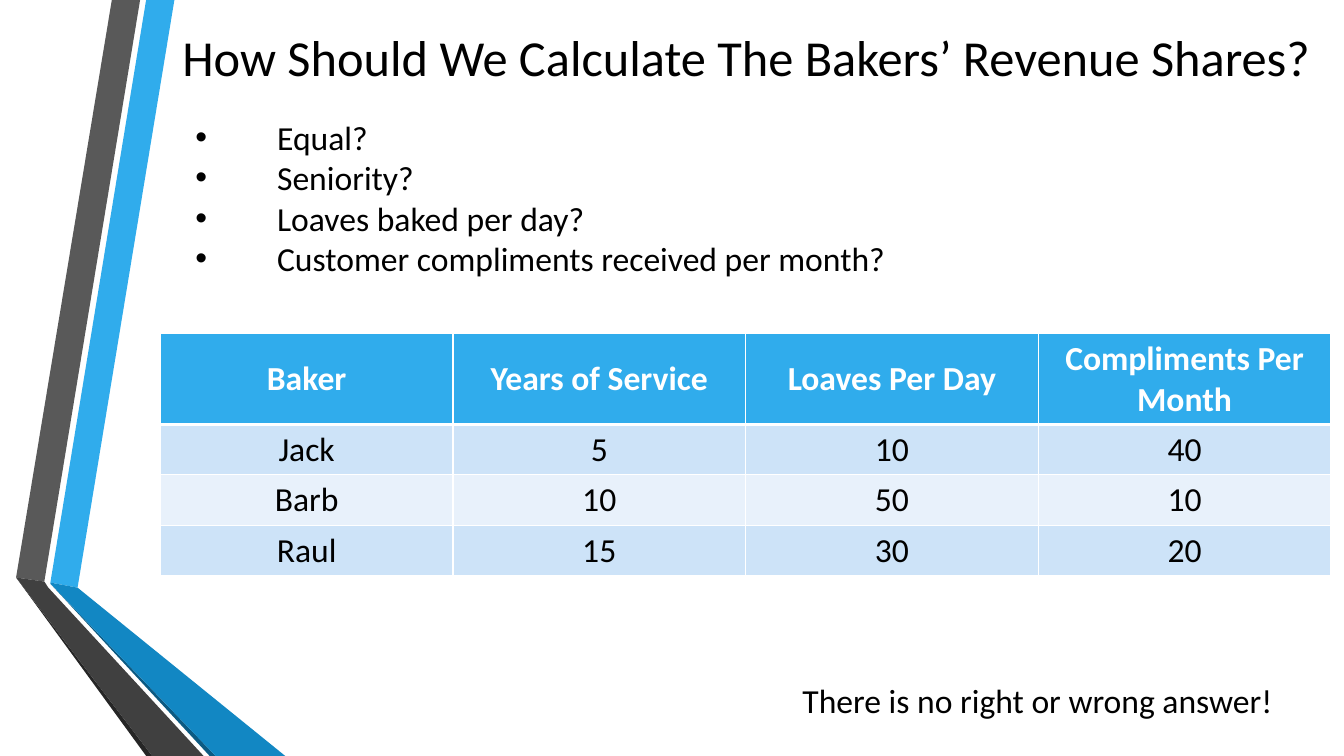
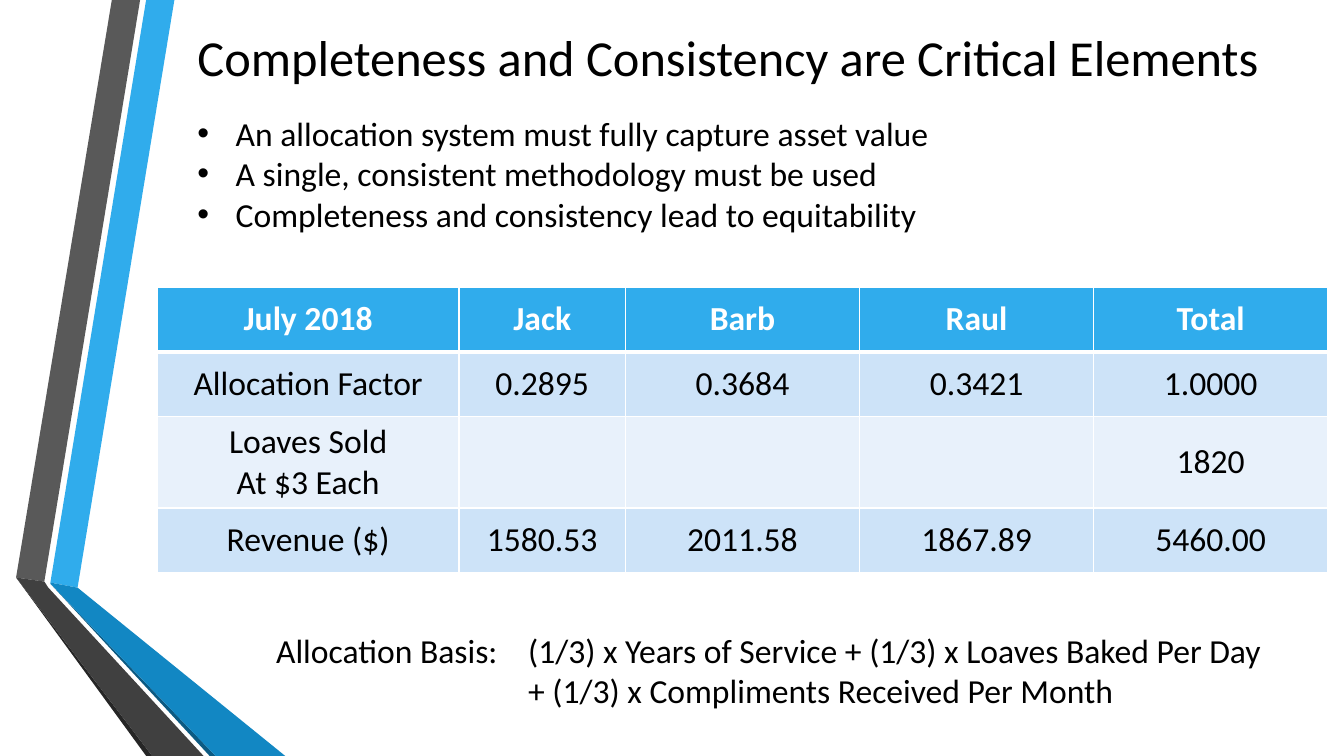
from lxml.etree import SubElement
from pptx import Presentation
from pptx.dml.color import RGBColor
from pptx.enum.text import MSO_ANCHOR as Anchor, PP_ALIGN as Align
from pptx.oxml.ns import qn
from pptx.util import Inches, Pt

FONT = "Calibri"
BLACK, WHITE, BLUE = "000000", "FFFFFF", "30ACEC"
ROW_FILLS = ("CDE3F8", "E8F1FB")
TITLE_SIZE, BODY_SIZE = 36, 24
TITLE_TOP, TITLE_HEIGHT = 0.21, 0.71
TABLE_WIDTH = 11.61

# Folded ribbons down the left edge: colour and outline
RIBBONS = [
    (BLUE, [(0.5, 5.78), (0.77, 5.83), (1.73, 0), (1.45, 0)]),
    ("595959", [(1.39, 0), (1.11, 0), (0.16, 5.73), (0.44, 5.77)]),
    ("262626", [(0.16, 5.73), (1.45, 7.5), (1.51, 7.5)]),
    ("0C5A82", [(0.5, 5.79), (2.08, 7.5), (2.14, 7.5)]),
    ("1287C3", [(0.5, 5.78), (0.5, 5.79), (2.14, 7.5), (2.83, 7.5), (0.77, 5.83)]),
    ("404040", [(2.02, 7.5), (0.48, 5.83), (0.44, 5.77), (0.16, 5.73), (1.51, 7.5)]),
]

# Boxes are left, top, width, height
SLIDES = [
    {
        "title": "How Should We Calculate The Bakers’ Revenue Shares?",
        "title_span": (1.71, 11.6),
        "bullets": ["Equal?", "Seniority?", "Loaves baked per day?",
                    "Customer compliments received per month?"],
        "bullets_box": (1.84, 1.11, 7.3, 1.72),
        "bullet_indent": 0.81,
        "table": [("Baker", "Years of Service", "Loaves Per Day", "Compliments Per Month"),
                  ("Jack", "5", "10", "40"),
                  ("Barb", "10", "50", "10"),
                  ("Raul", "15", "30", "20")],
        "table_at": (1.59, 3.31),
        "column_shares": (1, 1, 1, 1),
        "row_heights": (0.9, 0.5, 0.5, 0.5),
        "closing": ["There is no right or wrong answer!"],
        "closing_box": (7.86, 6.7, 4.92, 0.5),
        "closing_indent": 0,
    },
    {
        "title": "Completeness and Consistency are Critical Elements",
        "title_span": (1.86, 11.03),
        "bullets": ["An allocation system must fully capture asset value",
                    "A single, consistent methodology must be used",
                    "Completeness and consistency lead to equitability"],
        "bullets_box": (1.86, 1.07, 7.87, 1.31),
        "bullet_indent": 0.38,
        "table": [("July 2018", "Jack", "Barb", "Raul", "Total"),
                  ("Allocation Factor", "0.2895", "0.3684", "0.3421", "1.0000"),
                  ("Loaves Sold\nAt $3 Each", "", "", "", "1820"),
                  ("Revenue ($)", "1580.53", "2011.58", "1867.89", "5460.00")],
        "table_at": (1.56, 2.85),
        "column_shares": (2.99, 1.65, 2.32, 2.32, 2.32),
        "row_heights": (0.64, 0.64, 0.91, 0.64),
        "closing": ["Allocation Basis:\t(1/3) x Years of Service + (1/3) x Loaves Baked Per Day",
                    "+ (1/3) x Compliments Received Per Month"],
        "closing_box": (2.64, 6.2, 10.4, 0.91),
        "closing_indent": 2.5,
    },
]


def paint(fill, colour):
    fill.solid()
    fill.fore_color.rgb = RGBColor.from_string(colour)


def style_runs(paragraph, size, colour=BLACK, bold=False):
    for run in paragraph.runs:
        run.font.name, run.font.size, run.font.bold = FONT, Pt(size), bold
        run.font.color.rgb = RGBColor.from_string(colour)


def add_ribbons(slide):
    for colour, outline in RIBBONS:
        points = [(Inches(x), Inches(y)) for x, y in outline]
        builder = slide.shapes.build_freeform(*points[0])
        builder.add_line_segments(points[1:], close=True)
        ribbon = builder.convert_to_shape()
        ribbon.shadow.inherit = False
        paint(ribbon.fill, colour)
        ribbon.line.fill.background()


def add_text(slide, box, lines, size=BODY_SIZE, indent=0, bullet=False):
    frame = slide.shapes.add_textbox(*map(Inches, box)).text_frame
    frame.word_wrap = True
    frame.text = "\n".join(lines)
    for paragraph in frame.paragraphs:
        if indent:
            # Bulleted or tabbed lines hang; the others start at the indent
            hangs = bullet or "\t" in paragraph.text
            props = paragraph._p.get_or_add_pPr()
            props.set("marL", str(Inches(indent)))
            props.set("indent", str(-Inches(indent) if hangs else 0))
            if bullet:
                SubElement(props, qn("a:buFont"), typeface="Arial")
                SubElement(props, qn("a:buChar"), char="•")
            else:
                stops = SubElement(props, qn("a:tabLst"))
                SubElement(stops, qn("a:tab"), pos=str(Inches(indent)), algn="l")
        style_runs(paragraph, size)


def add_borders(cell, top, bottom):
    props = cell._tc.get_or_add_tcPr()
    for side, width in (("L", 1), ("R", 1), ("T", top), ("B", bottom)):
        line = SubElement(props, qn("a:ln" + side), w=str(Pt(width)))
        SubElement(SubElement(line, qn("a:solidFill")), qn("a:srgbClr"), val=WHITE)


def add_data_table(slide, rows, at, shares, heights):
    size = (TABLE_WIDTH, sum(heights))
    table = slide.shapes.add_table(len(rows), len(shares), *map(Inches, at + size)).table
    for column, share in zip(table.columns, shares):
        column.width = Inches(TABLE_WIDTH * share / sum(shares))
    for r, (values, height) in enumerate(zip(rows, heights)):
        table.rows[r].height = Inches(height)
        header = r == 0
        for c, value in enumerate(values):
            cell = table.cell(r, c)
            cell.text = value
            cell.vertical_anchor = Anchor.MIDDLE
            # A heavier rule separates the header from the body
            add_borders(cell, top=3 if r == 1 else 1, bottom=3 if header else 1)
            paint(cell.fill, BLUE if header else ROW_FILLS[(r - 1) % 2])
            for paragraph in cell.text_frame.paragraphs:
                paragraph.alignment = Align.CENTER
                style_runs(paragraph, BODY_SIZE, WHITE if header else BLACK, header)


def build_slide(deck, content):
    slide = deck.slides.add_slide(deck.slide_layouts[6])
    paint(slide.background.fill, WHITE)
    add_ribbons(slide)
    left, width = content["title_span"]
    add_text(slide, (left, TITLE_TOP, width, TITLE_HEIGHT), [content["title"]], TITLE_SIZE)
    add_text(slide, content["bullets_box"], content["bullets"],
             indent=content["bullet_indent"], bullet=True)
    add_data_table(slide, content["table"], content["table_at"],
                   content["column_shares"], content["row_heights"])
    add_text(slide, content["closing_box"], content["closing"],
             indent=content["closing_indent"])


def main():
    deck = Presentation()
    deck.slide_width, deck.slide_height = Inches(13.33), Inches(7.5)
    for content in SLIDES:
        build_slide(deck, content)
    deck.save("out.pptx")


if __name__ == "__main__":
    main()
